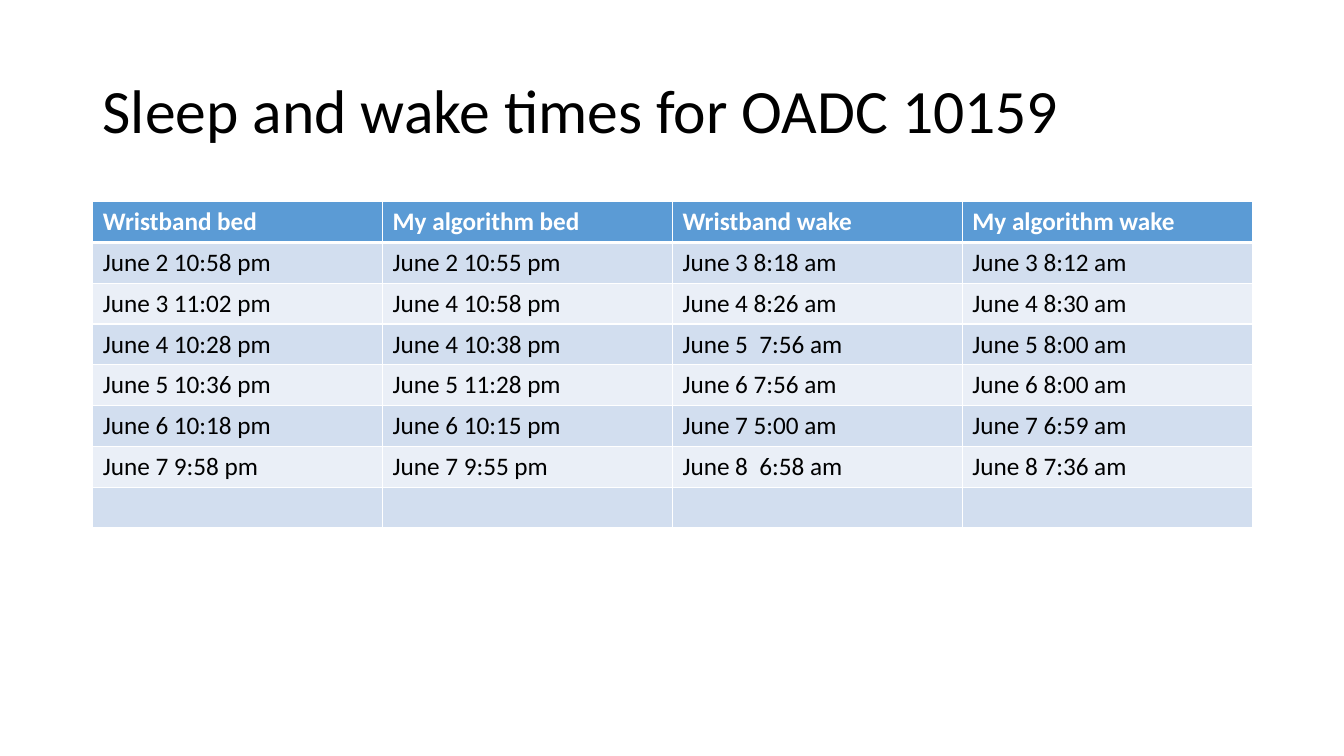
from lxml.etree import SubElement
from pptx import Presentation
from pptx.dml.color import RGBColor
from pptx.enum.text import MSO_ANCHOR
from pptx.oxml.ns import qn
from pptx.util import Inches, Pt

FONT = "Calibri"
BLACK, WHITE, BLUE = "000000", "FFFFFF", "5B9BD5"
BANDS = ("D2DEEF", "EAEFF7")
TITLE = "Sleep and wake times for OADC 10159"
TIMES = [
    ("Wristband bed", "My algorithm bed", "Wristband wake", "My algorithm wake"),
    ("June 2 10:58 pm", "June 2 10:55 pm", "June 3 8:18 am", "June 3 8:12 am"),
    ("June 3 11:02 pm", "June 4 10:58 pm", "June 4 8:26 am", "June 4 8:30 am"),
    ("June 4 10:28 pm", "June 4 10:38 pm", "June 5  7:56 am", "June 5 8:00 am"),
    ("June 5 10:36 pm", "June 5 11:28 pm", "June 6 7:56 am", "June 6 8:00 am"),
    ("June 6 10:18 pm", "June 6 10:15 pm", "June 7 5:00 am", "June 7 6:59 am"),
    ("June 7 9:58 pm", "June 7 9:55 pm", "June 8  6:58 am", "June 8 7:36 am"),
    ("", "", "", ""),
]


def color(value):
    return RGBColor.from_string(value)


def write(p, text, size, fill, bold=False):
    r = p.add_run() if text else p
    if text:
        r.text = text
    for name, value in {"name": FONT, "size": Pt(size), "bold": bold}.items():
        setattr(r.font, name, value)
    r.font.color.rgb = color(fill)


def set_borders(cell, widths):
    tc_pr = cell._tc.get_or_add_tcPr()
    for side, width in widths.items():
        ln = SubElement(tc_pr, qn(f"a:ln{side}"), w=str(Pt(width)))
        SubElement(SubElement(ln, qn("a:solidFill")), qn("a:srgbClr"), val=WHITE)


def add_title(s, left, top, width, height):
    sp = s.shapes.add_textbox(Inches(left), Inches(top), Inches(width), Inches(height))
    tf = sp.text_frame
    for name, value in {"word_wrap": True, "vertical_anchor": MSO_ANCHOR.MIDDLE}.items():
        setattr(tf, name, value)
    p = tf.paragraphs[0]
    p.line_spacing = 0.9
    write(p, TITLE, 44, BLACK)


def add_times_table(s, left, top, width, height):
    table = s.shapes.add_table(
        len(TIMES), len(TIMES[0]),
        Inches(left), Inches(top), Inches(width), Inches(height),
    ).table
    for i, row in enumerate(TIMES):
        header = i == 0
        for j, text in enumerate(row):
            cell = table.cell(i, j)
            set_borders(cell, {"L": 1, "R": 1, "T": 3 if i == 1 else 1, "B": 3 if header else 1})
            cell.fill.solid()
            cell.fill.fore_color.rgb = color(BLUE if header else BANDS[(i - 1) % 2])
            write(cell.text_frame.paragraphs[0], text, 18, WHITE if header else BLACK, header)


prs = Presentation()
prs.slide_width, prs.slide_height = Inches(13.33), Inches(7.5)
s = prs.slides.add_slide(prs.slide_layouts[6])
add_title(s, 0.92, 0.4, 11.5, 1.45)
add_times_table(s, 0.92, 2, 11.5, 3.24)
prs.save("out.pptx")
